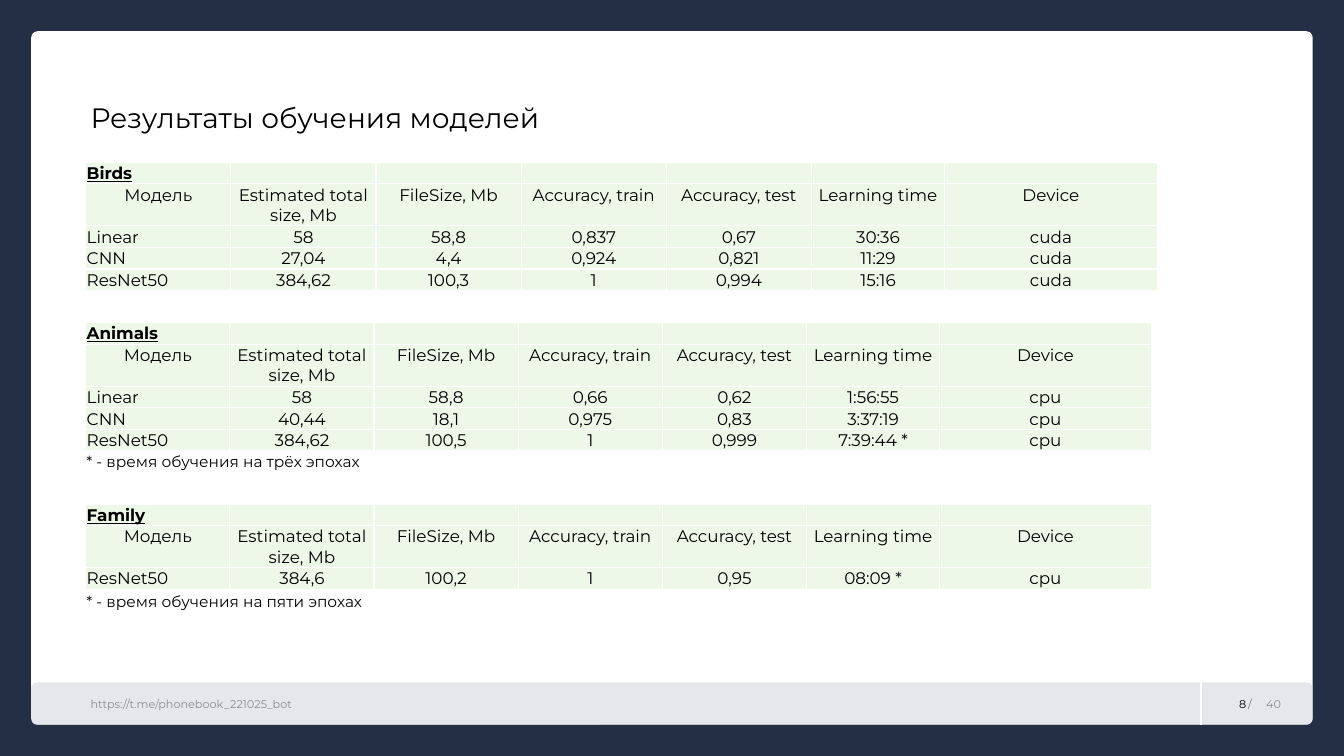
"""Build the slide with the training results of three model sets."""
from dataclasses import dataclass

from lxml import etree
from pptx import Presentation, util as u
from pptx.dml.color import RGBColor
from pptx.enum import shapes, text
from pptx.oxml import ns

SCALE = 9144
FONT = "Montserrat"
INK = {"navy": "232F44", "white": "FFFFFF", "bar": "D5D8DD",
       "grey": "8C8C8C", "black": "000000", "mint": "EDF8E8"}
HEAD = ["Модель", "Estimated total size, Mb", "FileSize, Mb", "Accuracy, train",
        "Accuracy, test", "Learning time", "Device"]
WIDE = [144] * 5 + [132, 211]
SLIM = [143] * 5 + [132, 210]
ROW, TALL = 21, 41
LEFT, MID, RIGHT = text.PP_ALIGN.LEFT, text.PP_ALIGN.CENTER, text.PP_ALIGN.RIGHT


@dataclass
class Panel:
    box: tuple[int, int, int, int]
    ink: str
    round: float
    alpha: int = 100


@dataclass
class Label:
    words: str
    box: tuple[int, int, int, int]
    size: int
    ink: str = "black"
    align: text.PP_ALIGN = LEFT
    middle: bool = False
    pad: int = 10
    alpha: int = 100
    line: float = 1.0


@dataclass
class Grid:
    name: str
    top: int
    cols: list[int]
    rows: list[str]


PANELS = [Panel((31, 31, 1271, 688), "white", 0.009),
          Panel((31, 677, 1271, 42), "bar", 0.139, 60)]
LABELS = [
    Label("/", (1238, 686, 9, 24), 8, middle=True, pad=0, alpha=50),
    Label("40", (1246, 684, 50, 28), 8, "grey", middle=True),
    Label("https://t.me/phonebook_221025_bot", (80, 684, 1074, 28), 8, "grey", middle=True),
    Label("8", (1204, 684, 42, 28), 8, align=RIGHT, middle=True),
    Label("Результаты обучения моделей", (80, 99, 600, 39), 20, line=0.9),
    Label("* - время обучения на трёх эпохах", (76, 446, 600, 39), 11, line=0.9),
    Label("* - время обучения на пяти эпохах", (76, 585, 600, 39), 11, line=0.9),
]
GRIDS = [
    Grid("Birds", 161, WIDE, ["Linear|58|58,8|0,837|0,67|30:36|cuda",
                              "CNN|27,04|4,4|0,924|0,821|11:29|cuda",
                              "ResNet50|384,62|100,3|1|0,994|15:16|cuda"]),
    Grid("Animals", 320, SLIM, ["Linear|58|58,8|0,66|0,62|1:56:55|cpu",
                                "CNN|40,44|18,1|0,975|0,83|3:37:19|cpu",
                                "ResNet50|384,62|100,5|1|0,999|7:39:44 *|cpu"]),
    Grid("Family", 500, SLIM, ["ResNet50|384,6|100,2|1|0,95|08:09 *|cpu"]),
]


def px(num: int) -> u.Emu:
    """Turn px into EMU."""
    return u.Emu(num * SCALE)


def paint(fill, ink: str, alpha: int = 100) -> None:
    """Set a solid fill."""
    fill.solid()
    fill.fore_color.rgb = RGBColor.from_string(INK[ink])
    if alpha < 100:
        tone = fill._xPr.find(".//" + ns.qn("a:srgbClr"))
        etree.SubElement(tone, ns.qn("a:alpha"), val=str(alpha * 1000))


def style(para, size: int, ink: str, alpha: int = 100) -> None:
    """Format the runs of a paragraph."""
    for run in para.runs:
        run.font.name, run.font.size = FONT, u.Pt(size)
        paint(run.font.fill, ink, alpha)


def draw_panel(slide, panel: Panel) -> None:
    """Draw one rounded panel."""
    shape = slide.shapes.add_shape(shapes.MSO_SHAPE.ROUNDED_RECTANGLE, *map(px, panel.box))
    shape.adjustments[0] = panel.round
    shape.shadow.inherit = False
    shape.line.fill.background()
    paint(shape.fill, panel.ink, panel.alpha)


def draw_rule(slide) -> None:
    """Draw the white rule in the footer."""
    rule = slide.shapes.add_connector(shapes.MSO_CONNECTOR.STRAIGHT,
                                      px(1191), px(677), px(1191), px(719))
    rule.line.width = u.Pt(1.5)
    paint(rule.line.fill, "white")
    etree.SubElement(rule._element.spPr, ns.qn("a:effectLst"))


def draw_label(slide, label: Label) -> None:
    """Draw one text box."""
    frame = slide.shapes.add_textbox(*map(px, label.box)).text_frame
    frame.word_wrap = label.pad > 0
    frame.margin_left = frame.margin_right = px(label.pad)
    frame.margin_top = frame.margin_bottom = px(label.pad // 2)
    if label.middle:
        frame.vertical_anchor = text.MSO_ANCHOR.MIDDLE
    frame.text = label.words
    para = frame.paragraphs[0]
    para.alignment, para.line_spacing = label.align, label.line
    style(para, label.size, label.ink, label.alpha)


def edge(cell) -> None:
    """Give a cell thin white borders."""
    props = cell._tc.get_or_add_tcPr()
    for side in ("lnL", "lnR", "lnT", "lnB"):
        line = etree.SubElement(props, ns.qn("a:" + side), w=str(u.Pt(1)))
        fill = etree.SubElement(line, ns.qn("a:solidFill"))
        etree.SubElement(fill, ns.qn("a:srgbClr"), val=INK["white"])


def draw_grid(slide, grid: Grid) -> None:
    """Draw one table of results."""
    data = [[grid.name] + [""] * (len(HEAD) - 1), HEAD, *(row.split("|") for row in grid.rows)]
    highs = [ROW, TALL] + [ROW] * len(grid.rows)
    table = slide.shapes.add_table(len(data), len(HEAD), px(85), px(grid.top),
                                   px(sum(grid.cols)), px(sum(highs))).table
    table.first_row = table.horz_banding = False
    for col, wide in zip(table.columns, grid.cols):
        col.width = px(wide)
    for r, row in enumerate(data):
        table.rows[r].height = px(highs[r])
        for c, words in enumerate(row):
            cell = table.cell(r, c)
            edge(cell)
            paint(cell.fill, "mint")
            cell.margin_left = cell.margin_right = cell.margin_top = px(1)
            cell.margin_bottom = 0
            cell.vertical_anchor = text.MSO_ANCHOR.TOP if r == 1 else text.MSO_ANCHOR.BOTTOM
            cell.text_frame.text = words
            para = cell.text_frame.paragraphs[0]
            para.alignment = MID if r == 1 or c else LEFT
            style(para, 12, "black")
            if not words:
                etree.SubElement(para._p, ns.qn("a:endParaRPr"), sz="1200")
    title = table.cell(0, 0).text_frame.paragraphs[0].runs[0].font
    title.bold = title.underline = True


def main() -> None:
    """Build and save the deck."""
    deck = Presentation()
    deck.slide_width, deck.slide_height = px(1333), px(750)
    slide = deck.slides.add_slide(deck.slide_layouts[6])
    paint(slide.background.fill, "navy")
    for panel in PANELS:
        draw_panel(slide, panel)
    draw_rule(slide)
    for grid in GRIDS:
        draw_grid(slide, grid)
    for label in LABELS:
        draw_label(slide, label)
    deck.save("out.pptx")


if __name__ == "__main__":
    main()
